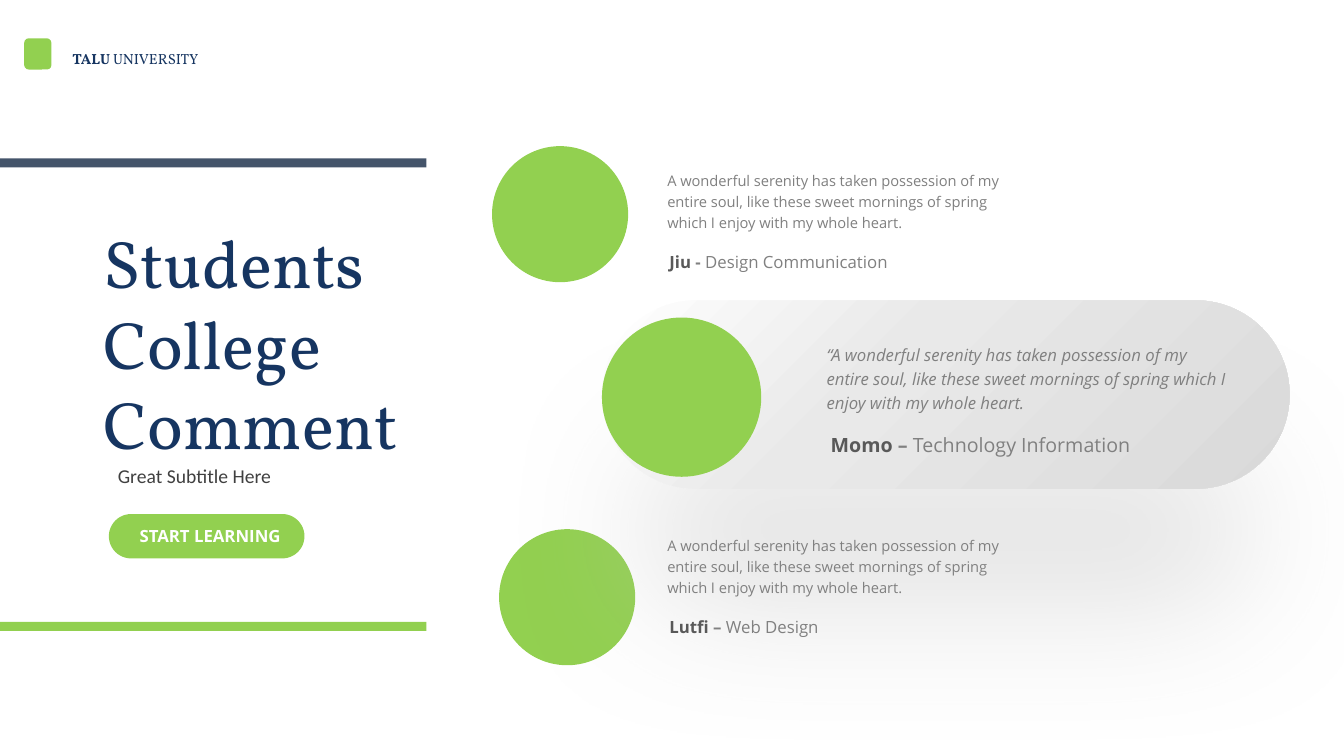
"""Build the student comments slide."""
import pptx
import pptx.util
import pptx.dml.color
import pptx.enum.shapes
import pptx.enum.text
import lxml.etree
from dataclasses import dataclass

Inches = pptx.util.Inches
Shape = pptx.enum.shapes.MSO_SHAPE
Fit = pptx.enum.text.MSO_AUTO_SIZE
Anchor = pptx.enum.text.MSO_ANCHOR
Align = pptx.enum.text.PP_ALIGN


@dataclass(frozen=True)
class Theme:
    green: str = "92D050"
    slate: str = "44546A"
    navy: str = "163561"
    ink: str = "404040"
    dark: str = "595959"
    grey: str = "808080"
    white: str = "FFFFFF"
    shade: str = "BFBFBF"
    fade: tuple = ((0, "FFFFFF"), (40, "E9E9E9"), (100, "D9D9D9"))
    serif: str = "Vollkorn"
    sans: str = "Open Sans"
    plain: str = "Calibri"
    head: float = 48
    large: float = 14
    mid: float = 12
    small: float = 10.5


theme = Theme()
TITLE = "Students College Comment"
SUB = "Great Subtitle Here"
BUTTON = "START LEARNING"
BRAND = ("TALU ", "UNIVERSITY")
QUOTE = ("A wonderful serenity has taken possession of my entire soul, like these "
         "sweet mornings of spring which I enjoy with my whole heart.")
BARS = [(1.57, theme.slate), (6.17, theme.green)]
DISCS = [(4.95, 5.25, 1.35), (4.88, 1.45, 1.35), (5.97, 3.15, 1.58)]
PILL = (5.97, 2.98, 6.82, 1.87)
NOTES = [
    {"name": "Jiu ", "dash": "- ", "field": "Design Communication", "at": (6.52, 1.62)},
    {"name": "Momo ", "dash": "– ", "field": "Technology Information",
     "at": (8.1, 3.33), "main": True},
    {"name": "Lutfi ", "dash": "– ", "field": "Web Design", "at": (6.52, 5.24)},
]

deck = pptx.Presentation()
deck.slide_width, deck.slide_height = Inches(13.33), Inches(7.5)
slide = deck.slides.add_slide(deck.slide_layouts[5])


def color(code):
    return pptx.dml.color.RGBColor.from_string(code)


def style(font, face, size, code, bold=False, italic=False):
    font.name, font.size = face, pptx.util.Pt(size)
    font.color.rgb = color(code)
    font.bold, font.italic = bold, italic


def draw(kind, box, code):
    shape = slide.shapes.add_shape(kind, *map(Inches, box))
    shape.shadow.inherit = False
    shape.fill.solid()
    shape.fill.fore_color.rgb = color(code)
    shape.line.fill.background()
    return shape


def write(box, parts, face, size, code, italic=False, gap=1.0):
    """Add a text box; parts are (text, colour, bold), with None for the base colour."""
    frame = slide.shapes.add_textbox(*map(Inches, box)).text_frame
    frame.word_wrap, frame.auto_size = True, Fit.SHAPE_TO_FIT_TEXT
    para = frame.paragraphs[0]
    para.line_spacing = gap
    style(para.font, face, size, code, italic=italic)
    for text, tint, bold in parts:
        run = para.add_run()
        run.text = text
        style(run.font, face, size, tint or code, bold, italic)


def shade(pill):
    props = pill._element.spPr
    space = props.nsmap["a"]

    def node(base, tag, **attrs):
        return lxml.etree.SubElement(base, f"{{{space}}}{tag}", attrs)

    fill = lxml.etree.Element(f"{{{space}}}gradFill", rotWithShape="1")
    stops = node(fill, "gsLst")
    for pos, code in theme.fade:
        node(node(stops, "gs", pos=str(pos * 1000)), "srgbClr", val=code)
    node(fill, "lin", ang=str(45 * 60000), scaled="0")
    solid = props.find(f"{{{space}}}solidFill")
    props.replace(solid, fill)
    glow = node(props.find(f"{{{space}}}effectLst"), "outerShdw",
                blurRad=str(pptx.util.Pt(100)), dist=str(pptx.util.Pt(90)),
                dir=str(90 * 60000), sx="90000", sy="90000", algn="b", rotWithShape="0")
    node(node(glow, "srgbClr", val=theme.shade), "alpha", val="40000")


def main():
    title = slide.shapes.title
    title.left, title.top, title.width, title.height = map(Inches, (0.93, 2.03, 4.01, 2.73))
    frame = title.text_frame
    frame.text = TITLE
    frame.word_wrap, frame.auto_size = True, Fit.NONE
    frame.vertical_anchor = Anchor.MIDDLE
    para = frame.paragraphs[0]
    para.alignment, para.line_spacing = Align.LEFT, 1.0
    style(para.font, theme.serif, theme.head, theme.navy)

    *outer, inner = DISCS
    for left, top, size in outer:
        draw(Shape.OVAL, (left, top, size, size), theme.green)
    pill = draw(Shape.ROUNDED_RECTANGLE, PILL, theme.white)
    pill.adjustments[0] = 0.5
    shade(pill)
    left, top, size = inner
    draw(Shape.OVAL, (left, top, size, size), theme.green)
    for top, code in BARS:
        draw(Shape.RECTANGLE, (0, top, 4.23, 0.09), code)

    write((1.07, 4.55, 3.62, 0.34), [(SUB, None, False)], theme.plain, theme.large, theme.ink)
    button = draw(Shape.ROUNDED_RECTANGLE, (1.08, 5.1, 1.94, 0.44), theme.green)
    button.adjustments[0] = 0.5
    frame = button.text_frame
    frame.text, frame.word_wrap = BUTTON, False
    frame.margin_left, frame.vertical_anchor = Inches(0.24), Anchor.MIDDLE
    frame.paragraphs[0].alignment = Align.LEFT
    style(frame.paragraphs[0].font, theme.sans, theme.mid, theme.white, True)

    draw(Shape.ROUNDED_RECTANGLE, (0.24, 0.38, 0.27, 0.31), theme.green)
    write((0.62, 0.44, 1.51, 0.28), [(BRAND[0], None, True), (BRAND[1], None, False)],
          theme.serif, theme.small, theme.navy)

    for note in NOTES:
        left, top = note["at"]
        big = note.get("main", False)
        wide, high, size = (4.17, 0.81, theme.mid) if big else (3.65, 0.72, theme.small)
        shift, step, label = (0.04, 0.92, theme.large) if big else (0.02, 0.83, theme.mid)
        quote = "“" + QUOTE if big else QUOTE
        write((left, top, wide, high), [(quote, None, False)],
              theme.sans, size, theme.grey, big, 1.2)
        parts = [(note["name"], theme.dark, True), (note["dash"], None, True),
                 (note["field"], None, False)]
        write((left + shift, top + step, 3.69, 0.3), parts, theme.sans, label, theme.grey)

    deck.save("out.pptx")


if __name__ == "__main__":
    main()
